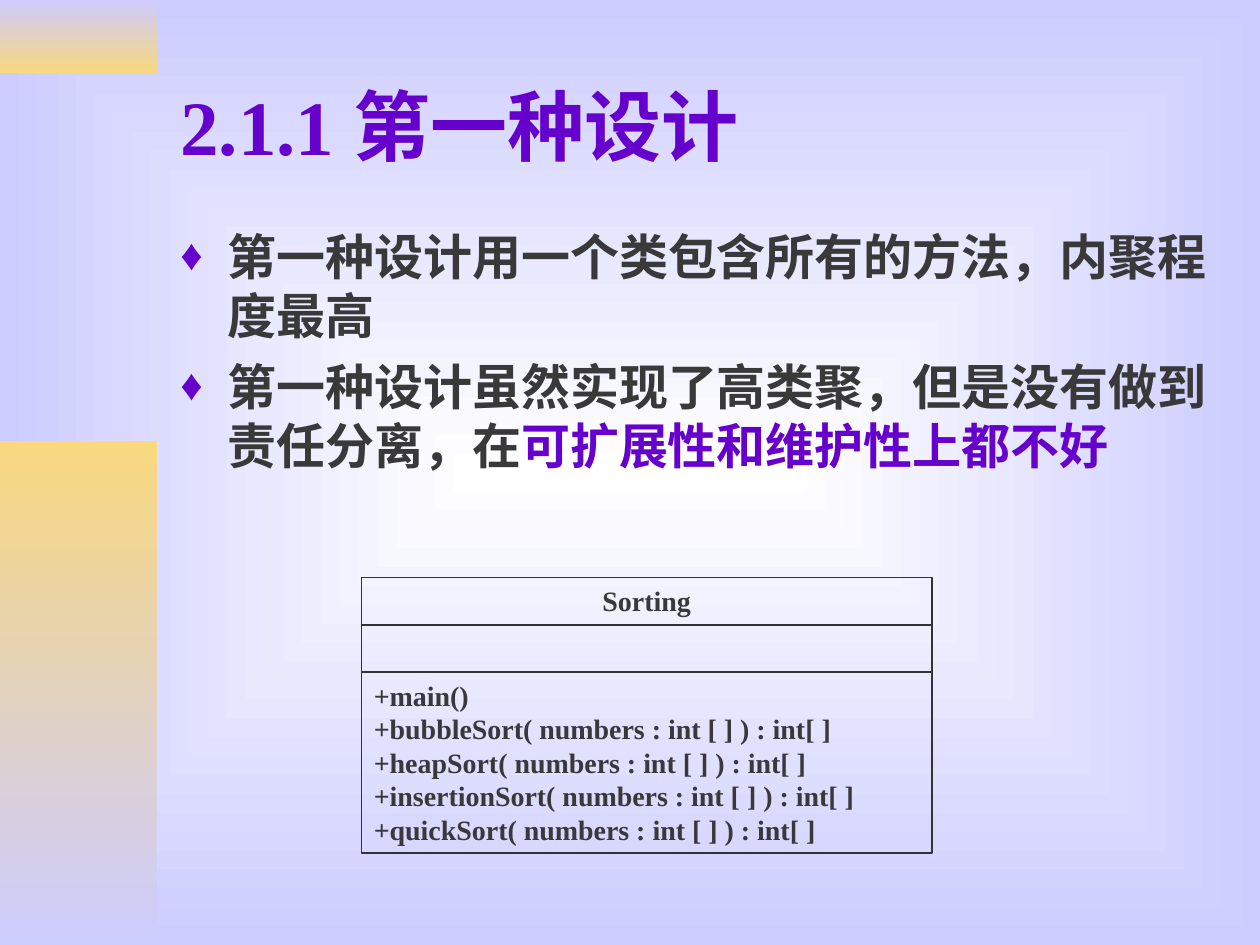
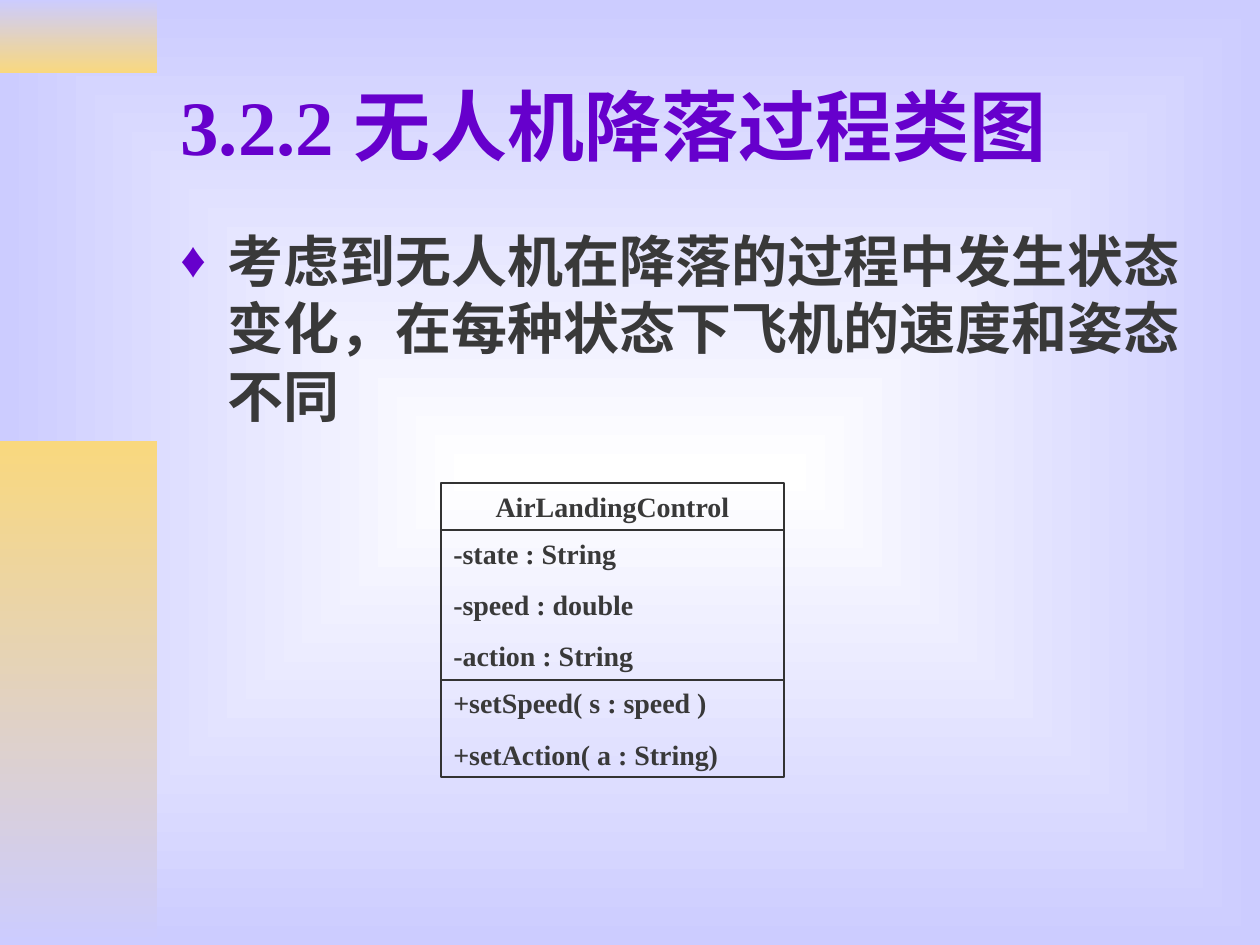
from lxml import etree
from pptx import Presentation
from pptx.dml import color
from pptx.enum import shapes, text
from pptx.oxml import ns
from pptx.util import Pt

COLORS = {"white": "FFFFFF", "lavender": "CCCCFF", "gold": "F9D87E",
          "purple": "6600CC", "dark": "393939", "line": "333333"}
FONT = "Times New Roman"

SLIDES = [
    {"title": "2.1.1 第一种设计",
     "size": 28, "gap": 7, "body_height": 166,
     "bullets": [
         [("第一种设计用一个类包含所有的方法，内聚程度最高", "dark")],
         [("第一种设计虽然实现了高类聚，但是没有做到责任分离，在", "dark"),
          ("可扩展性和维护性上都不好", "purple")]],
     "class_box": (206.5, 330, 326), "member_gap": 0,
     "compartments": [
         (27, ["Sorting"]),
         (27, []),
         (103.5, ["+main()",
                  "+bubbleSort( numbers : int [ ] ) : int[ ]",
                  "+heapSort( numbers : int [ ] ) : int[ ]",
                  "+insertionSort( numbers : int [ ] ) : int[ ]",
                  "+quickSort( numbers : int [ ] ) : int[ ]"])]},
    {"title": "3.2.2 无人机降落过程类图",
     "size": 32, "gap": 8, "body_height": 127,
     "bullets": [
         [("考虑到无人机在降落的过程中发生状态变化，在每种状态下飞机的速度和姿态不同", "dark")]],
     "class_box": (252, 276, 196), "member_gap": 10,
     "compartments": [
         (27, ["AirLandingControl"]),
         (85.5, ["-state : String", "-speed : double", "-action : String"]),
         (55.5, ["+setSpeed( s : speed )", "+setAction( a : String)"])]},
]


def set_gradient(fill, start, end):
    fill.gradient()
    fill.gradient_angle = 270
    for stop, name in zip(fill.gradient_stops, (start, end)):
        stop.color.rgb = color.RGBColor.from_string(COLORS[name])


def style_run(r, size, name):
    r.font.name = FONT
    r.font.size = Pt(size)
    r.font.bold = True
    r.font.color.rgb = color.RGBColor.from_string(COLORS[name])


prs = Presentation()
prs.slide_width, prs.slide_height = Pt(720), Pt(540)

# Shared background: a rectangular glow from the centre
background = prs.slide_master.background
set_gradient(background.fill, "white", "lavender")
lin = next(background._cSld.iter(ns.qn("a:lin")))
glow = etree.Element(ns.qn("a:path"), {"path": "rect"})
etree.SubElement(glow, ns.qn("a:fillToRect"), dict.fromkeys("ltrb", "50000"))
lin.getparent().replace(lin, glow)

for content in SLIDES:
    s = prs.slides.add_slide(prs.slide_layouts[6])

    # Gold bands at the left edge
    for top, height, start, end in ((0, 42, "lavender", "gold"),
                                    (252, 288, "gold", "lavender")):
        band = s.shapes.add_shape(shapes.MSO_SHAPE.RECTANGLE,
                                  0, Pt(top), Pt(90), Pt(height))
        band.shadow.inherit = False
        band.line.fill.background()
        set_gradient(band.fill, start, end)

    # Title
    tf = s.shapes.add_textbox(Pt(96), Pt(24), Pt(612), Pt(95)).text_frame
    tf.word_wrap = True
    tf.vertical_anchor = text.MSO_ANCHOR.MIDDLE
    tf.text = content["title"]
    style_run(tf.paragraphs[0].runs[0], 44, "purple")

    # Bulleted body
    tf = s.shapes.add_textbox(Pt(96), Pt(126), Pt(612),
                              Pt(content["body_height"])).text_frame
    tf.word_wrap = True
    for i, pieces in enumerate(content["bullets"]):
        p = tf.add_paragraph() if i else tf.paragraphs[0]
        if i:
            p.space_before = Pt(content["gap"])
        pPr = p._p.get_or_add_pPr()
        pPr.set("marL", str(Pt(27)))
        pPr.set("indent", str(Pt(-27)))
        bullet_color = etree.SubElement(pPr, ns.qn("a:buClr"))
        etree.SubElement(bullet_color, ns.qn("a:srgbClr"), val=COLORS["purple"])
        etree.SubElement(pPr, ns.qn("a:buSzPct"), val="90000")
        etree.SubElement(pPr, ns.qn("a:buFont"), typeface=FONT)
        etree.SubElement(pPr, ns.qn("a:buChar"), char="♦")
        for words, name in pieces:
            r = p.add_run()
            r.text = words
            style_run(r, content["size"], name)

    # Class diagram: stacked name, attribute and method compartments
    left, top, width = content["class_box"]
    for row, (height, members) in enumerate(content["compartments"]):
        sp = s.shapes.add_shape(shapes.MSO_SHAPE.RECTANGLE,
                                Pt(left), Pt(top), Pt(width), Pt(height))
        sp.shadow.inherit = False
        sp.fill.background()
        sp.line.color.rgb = color.RGBColor.from_string(COLORS["line"])
        sp.line.width = Pt(1)
        top += height
        tf = sp.text_frame
        tf.word_wrap = True
        tf.vertical_anchor = text.MSO_ANCHOR.TOP
        for i, member in enumerate(members):
            p = tf.add_paragraph() if i else tf.paragraphs[0]
            p.text = member
            p.alignment = text.PP_ALIGN.LEFT if row else text.PP_ALIGN.CENTER
            if i:
                p.space_before = Pt(content["member_gap"])
            style_run(p.runs[0], 16, "dark")

prs.save("out.pptx")
